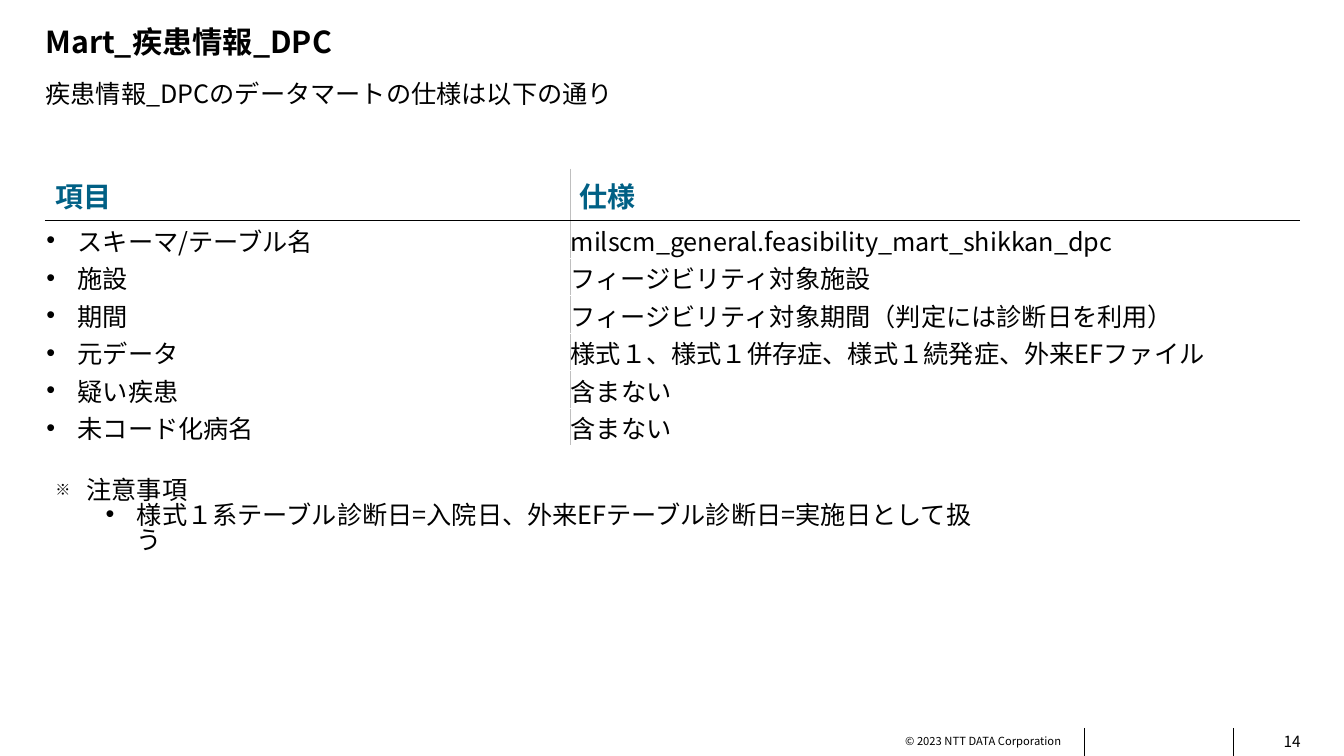
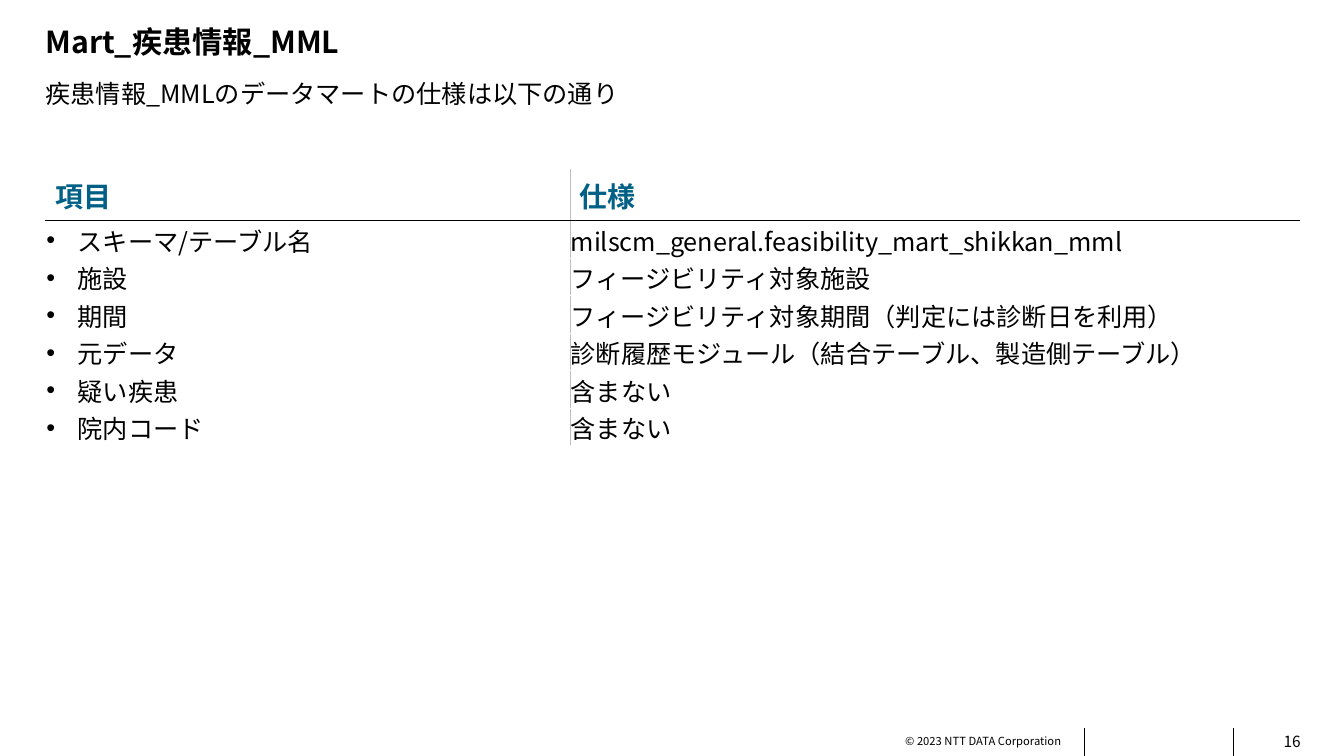
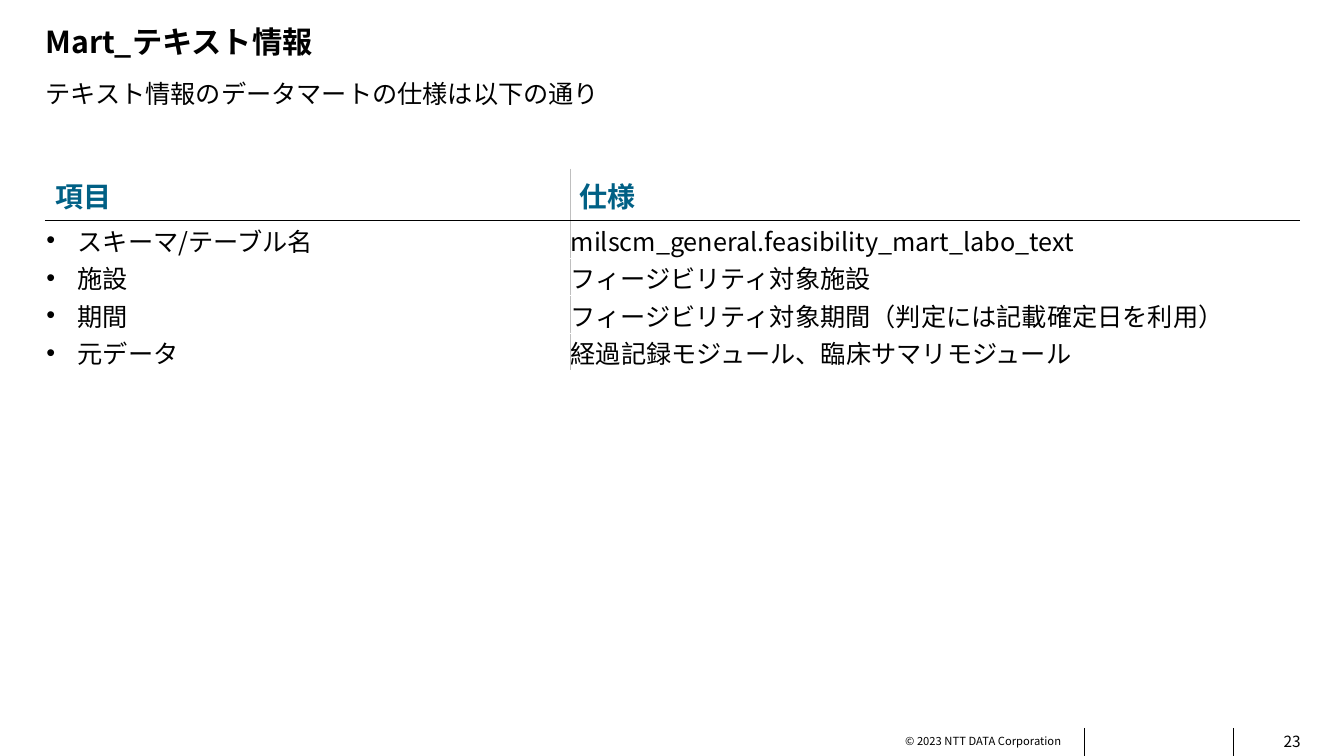
from lxml import etree
from pptx import Presentation
from pptx.dml.color import RGBColor
from pptx.enum.shapes import MSO_CONNECTOR
from pptx.enum.text import MSO_ANCHOR, MSO_AUTO_SIZE, PP_ALIGN
from pptx.oxml.ns import qn
from pptx.util import Emu, Inches, Pt

SLIDE_W, SLIDE_H = Inches(13.33), Inches(7.5)
FONT = "Noto Sans CJK JP"
COLORS = {"text": "000000", "header": "006085", "divider": "BFBFBF", "paper": "FFFFFF"}

# Shares of the slide's width and height, in percent
MARGIN, CONTENT_W = 3.38, 93.32
ITEM_W = 39.01
HEADER_H, ROW_H = 6.8, 4.97
FOOTER_TOP, FOOTER_LINES = 96.27, (80.72, 91.75)
BODY_SPACING = 0.82
HANGING = 0.31

COMMON_PERIOD = "フィージビリティ対象期間（判定には{}を利用）"
PAGES = [
    {
        "number": "14", "subject": "疾患情報_DPC", "table": "shikkan_dpc", "date": "診断日",
        "origin": "様式１、様式１併存症、様式１続発症、外来EFファイル",
        "excluded": ["疑い疾患", "未コード化病名"],
        "notes": [
            ("注意事項", 0, "※"),
            ("様式１系テーブル診断日=入院日、外来EFテーブル診断日=実施日として扱う", 1, "•"),
        ],
    },
    {
        "number": "16", "subject": "疾患情報_MML", "table": "shikkan_mml", "date": "診断日",
        "origin": "診断履歴モジュール（結合テーブル、製造側テーブル）",
        "excluded": ["疑い疾患", "院内コード"],
    },
    {
        "number": "23", "subject": "テキスト情報", "table": "labo_text", "date": "記載確定日",
        "origin": "経過記録モジュール、臨床サマリモジュール",
        "excluded": [],
    },
]


def across(share):
    return Emu(round(SLIDE_W * share / 100))


def down(share):
    return Emu(round(SLIDE_H * share / 100))


def box(left, top, width, height):
    return across(left), down(top), across(width), down(height)


def add_run(p, text, size, color="text", bold=False):
    r = p.add_run()
    r.text = text
    r.font.size = Pt(size)
    r.font.bold = bold
    r.font.color.rgb = RGBColor.from_string(COLORS[color])
    r.font.name = FONT
    etree.SubElement(r.font._element, qn("a:ea"), typeface=FONT)


def set_bullet(p, char=None, indent=HANGING):
    """Give a paragraph a hanging bullet, or none when char is missing."""
    pPr = p._p.get_or_add_pPr()
    pPr.set("marL", str(Inches(indent if char else 0)))
    pPr.set("indent", str(-Inches(HANGING) if char else 0))
    if not char:
        etree.SubElement(pPr, qn("a:buNone"))
        return
    if char == "※":
        etree.SubElement(pPr, qn("a:buSzPct"), val="60000")
    etree.SubElement(pPr, qn("a:buFont"), typeface="Arial" if char == "•" else FONT)
    etree.SubElement(pPr, qn("a:buChar"), char=char)


def prepare_frame(shape, side=0, anchor=MSO_ANCHOR.TOP):
    tf = shape.text_frame
    tf.word_wrap = True
    tf.auto_size = MSO_AUTO_SIZE.NONE
    tf.vertical_anchor = anchor
    tf.margin_left = tf.margin_right = Inches(side)
    tf.margin_top = tf.margin_bottom = Inches(0.05)
    return tf


def fill_placeholder(shape, place, text, size, bold=False, anchor=MSO_ANCHOR.TOP, spacing=1.0):
    shape.left, shape.top, shape.width, shape.height = place
    p = prepare_frame(shape, anchor=anchor).paragraphs[0]
    set_bullet(p)
    p.alignment = PP_ALIGN.LEFT
    p.line_spacing = spacing
    p.space_before = Pt(0)
    add_run(p, text, size, bold=bold)


def add_footer_text(s, place, text, size):
    p = prepare_frame(s.shapes.add_textbox(*place)).paragraphs[0]
    p.alignment = PP_ALIGN.RIGHT
    add_run(p, text, size)


def add_footer(s, number):
    add_footer_text(s, box(64.44, 96.53, 14.55, 3.2), "© 2023 NTT DATA Corporation", 8)
    for x in FOOTER_LINES:
        line = s.shapes.add_connector(
            MSO_CONNECTOR.STRAIGHT, across(x), down(FOOTER_TOP), across(x), SLIDE_H)
        line.line.color.rgb = RGBColor.from_string(COLORS["text"])
        line.line.width = Pt(0.75)
        etree.SubElement(line._element.spPr, qn("a:effectLst"))
    add_footer_text(s, box(92.35, 96.13, 4.43, 3.87), number, 11)


def set_border(cell, side, color, width):
    ln = etree.SubElement(cell._tc.get_or_add_tcPr(), qn("a:ln" + side), w=str(Pt(width)))
    fill = etree.SubElement(ln, qn("a:solidFill"))
    etree.SubElement(fill, qn("a:srgbClr"), val=COLORS[color])


def style_cell(cell, row, column):
    """Draw the column divider, the rule below the header and white outer borders."""
    divider, blank, rule = ("divider", 0.25), ("paper", 1), ("text", 1)
    set_border(cell, "L", *(divider if column == 1 else blank))
    set_border(cell, "R", *(divider if column == 0 else blank))
    set_border(cell, "T", *(rule if row == 1 else blank))
    set_border(cell, "B", *(rule if row == 0 else blank))
    cell.fill.background()
    cell.vertical_anchor = MSO_ANCHOR.MIDDLE
    if row > 0:
        cell.margin_left = cell.margin_right = cell.margin_top = Inches(0.01)
        cell.margin_bottom = 0


def add_spec_table(s, rows):
    height = HEADER_H + ROW_H * (len(rows) - 1)
    table = s.shapes.add_table(len(rows), 2, *box(MARGIN, 22.4, CONTENT_W, height)).table
    table.first_row = table.horz_banding = False
    table.columns[0].width = across(ITEM_W)
    table.columns[1].width = across(CONTENT_W - ITEM_W)
    for i, texts in enumerate(rows):
        table.rows[i].height = down(ROW_H if i else HEADER_H)
        for j, text in enumerate(texts):
            cell = table.cell(i, j)
            style_cell(cell, i, j)
            p = cell.text_frame.paragraphs[0]
            if i == 0:
                add_run(p, text, 20, "header", bold=True)
            else:
                set_bullet(p, "•" if j == 0 else None)
                add_run(p, text, 18)


def add_notes_list(s, notes):
    tf = prepare_frame(s.shapes.add_textbox(*box(MARGIN, 62.8, 71.42, 13.2)), side=0.1)
    for i, (text, level, char) in enumerate(notes):
        p = tf.add_paragraph() if i else tf.paragraphs[0]
        p.level = level
        set_bullet(p, char, HANGING + 0.5 * level)
        p.line_spacing = BODY_SPACING
        add_run(p, text, 18)


def spec_rows(page):
    return [
        ("項目", "仕様"),
        ("スキーマ/テーブル名", "milscm_general.feasibility_mart_" + page["table"]),
        ("施設", "フィージビリティ対象施設"),
        ("期間", COMMON_PERIOD.format(page["date"])),
        ("元データ", page["origin"]),
    ] + [(item, "含まない") for item in page["excluded"]]


def add_page(prs, page):
    s = prs.slides.add_slide(prs.slide_layouts[1])
    add_footer(s, page["number"])
    fill_placeholder(s.shapes.title, box(MARGIN, 2.53, CONTENT_W, 6),
                     "Mart_" + page["subject"], 21.6, bold=True, anchor=MSO_ANCHOR.MIDDLE)
    fill_placeholder(s.placeholders[1], box(MARGIN, 10.4, CONTENT_W, 9.73),
                     page["subject"] + "のデータマートの仕様は以下の通り", 18, spacing=BODY_SPACING)
    add_spec_table(s, spec_rows(page))
    if "notes" in page:
        add_notes_list(s, page["notes"])


def main():
    prs = Presentation()
    prs.slide_width, prs.slide_height = SLIDE_W, SLIDE_H
    for page in PAGES:
        add_page(prs, page)
    prs.save("out.pptx")


if __name__ == "__main__":
    main()
